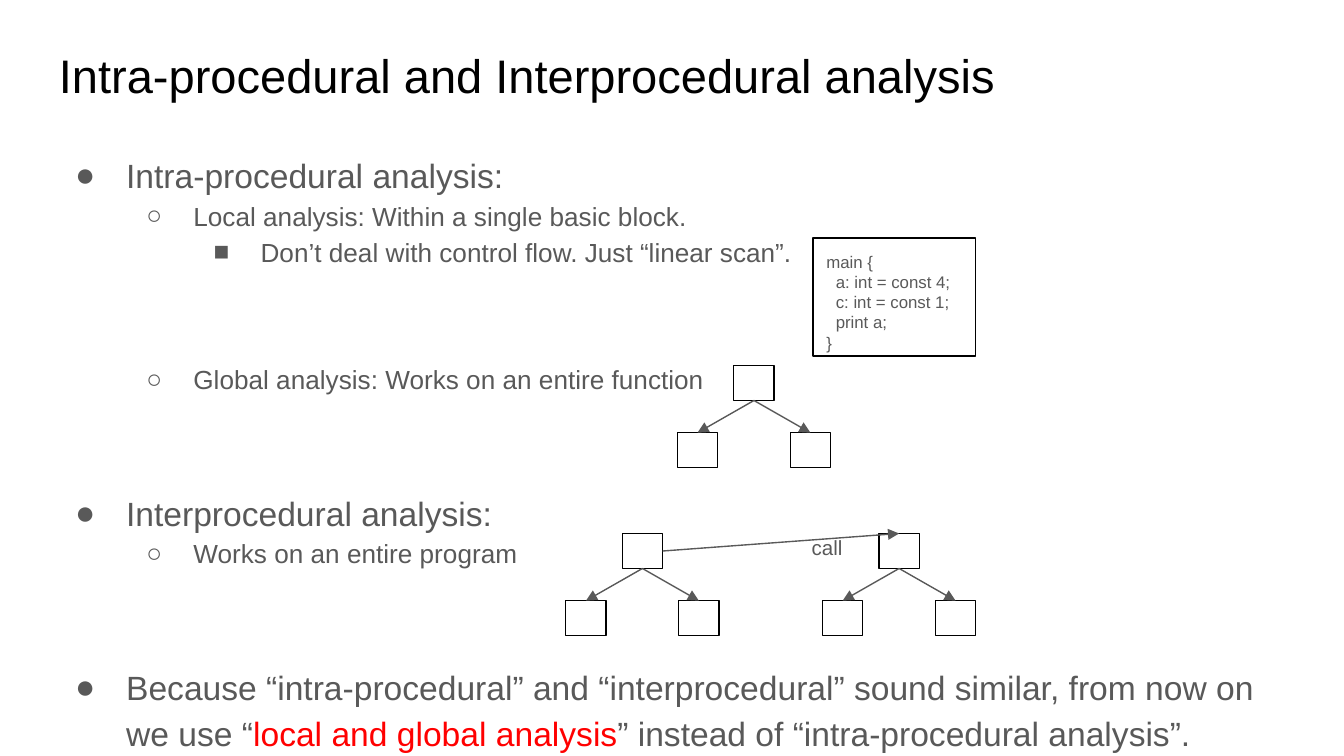
from lxml import etree
from pptx import Presentation
from pptx.dml.color import RGBColor
from pptx.enum.shapes import MSO_CONNECTOR, MSO_SHAPE
from pptx.enum.text import MSO_ANCHOR
from pptx.oxml.ns import qn
from pptx.util import Inches, Pt

RECT, STRAIGHT = MSO_SHAPE.RECTANGLE, MSO_CONNECTOR.STRAIGHT
TOP, MIDDLE = MSO_ANCHOR.TOP, MSO_ANCHOR.MIDDLE
COLORS = {"title": "000000", "text": "595959", "accent": "FF0000", "outline": "000000"}
FONT = "Arial"
NODE_W, NODE_H = 0.3, 0.26
BRANCH_DX, BRANCH_DY = 0.42, 0.5

# Bullet, text size and hanging indent of each outline level
LEVELS = [("●", 18, 0.38), ("○", 14, 0.35), ("■", 14, 0.35)]
GAP = 49  # points above a paragraph that starts a new group
OUTLINE = [
    (0, 0, [("Intra-procedural analysis:", "text")]),
    (1, 0, [("Local analysis: Within a single basic block.", "text")]),
    (2, 0, [("Don’t deal with control flow. Just “linear scan”.", "text")]),
    (1, GAP, [("Global analysis: Works on an entire function", "text")]),
    (0, GAP, [("Interprocedural analysis:", "text")]),
    (1, 0, [("Works on an entire program", "text")]),
    (0, GAP, [
        ("Because “intra-procedural” and “interprocedural” sound similar, "
         "from now on we use “", "text"),
        ("local and global analysis", "accent"),
        ("” instead of “intra-procedural analysis”.", "text"),
    ]),
]
CODE = [(0, "main {"), (0.07, "a: int = const 4;"), (0.07, "c: int = const 1;"),
        (0.07, "print a;"), (0, "}")]


def rgb(name):
    return RGBColor.from_string(COLORS[name])


def add_run(p, text, size, color):
    r = p.add_run()
    r.text = text
    r.font.name, r.font.size = FONT, Pt(size)
    r.font.color.rgb = rgb(color)


def set_frame(tf, anchor=TOP):
    tf.word_wrap = True
    tf.vertical_anchor = anchor
    tf.margin_left = tf.margin_right = tf.margin_top = tf.margin_bottom = Inches(0.1)
    return tf


def paragraphs(tf, items):
    """Yield each item with its own paragraph."""
    for i, item in enumerate(items):
        yield (tf.add_paragraph() if i else tf.paragraphs[0]), item


def add_label(s, x, y, w, h, text, size, color, anchor=TOP):
    tb = s.shapes.add_textbox(Inches(x), Inches(y), Inches(w), Inches(h))
    tf = set_frame(tb.text_frame, anchor)
    add_run(tf.paragraphs[0], text, size, color)


def set_bullet(p, level):
    char, _, hang = LEVELS[level]
    pPr = p._p.get_or_add_pPr()
    pPr.set("marL", str(Inches(0.5 * (level + 1))))
    pPr.set("indent", str(-Inches(hang)))
    clr = etree.SubElement(pPr, qn("a:buClr"))
    etree.SubElement(clr, qn("a:srgbClr"), val=COLORS["text"])
    etree.SubElement(pPr, qn("a:buFont"), typeface=FONT)
    etree.SubElement(pPr, qn("a:buChar"), char=char)


def add_outline(s, x, y, w, h):
    tb = s.shapes.add_textbox(Inches(x), Inches(y), Inches(w), Inches(h))
    tf = set_frame(tb.text_frame)
    for p, (level, before, runs) in paragraphs(tf, OUTLINE):
        p.level = level
        p.line_spacing, p.space_before = 1.15, Pt(before)
        set_bullet(p, level)
        for text, color in runs:
            add_run(p, text, LEVELS[level][1], color)


def add_box(s, x, y, w, h):
    sp = s.shapes.add_shape(RECT, Inches(x), Inches(y), Inches(w), Inches(h))
    sp.shadow.inherit = False
    sp.fill.background()
    sp.line.color.rgb = rgb("outline")
    sp.line.width = Pt(0.75)
    return sp


def add_code(s, x, y, w, h):
    tf = set_frame(add_box(s, x, y, w, h).text_frame)
    for p, (indent, text) in paragraphs(tf, CODE):
        pPr = p._p.get_or_add_pPr()
        pPr.set("marL", str(Inches(indent)))
        pPr.set("algn", "l")
        add_run(p, text, 9, "text")


def add_arrow(s, x1, y1, x2, y2):
    c = s.shapes.add_connector(STRAIGHT, Inches(x1), Inches(y1), Inches(x2), Inches(y2))
    c.line.color.rgb = rgb("text")
    c.line.width = Pt(0.75)
    etree.SubElement(c.line._get_or_add_ln(), qn("a:tailEnd"), type="triangle")
    etree.SubElement(c._element.spPr, qn("a:effectLst"))


def add_tree(s, x, y):
    """Draw a root node at (x, y) with an arrow to each of two children."""
    add_box(s, x, y, NODE_W, NODE_H)
    mid = x + NODE_W / 2
    for dx in (-BRANCH_DX, BRANCH_DX):
        add_box(s, x + dx, y + BRANCH_DY, NODE_W, NODE_H)
        add_arrow(s, mid, y + NODE_H, mid + dx, y + BRANCH_DY)


def add_call_graph(s, x, y, distance):
    """Draw two function trees and the call from one root to the other."""
    add_tree(s, x, y)
    add_tree(s, x + distance, y)
    add_arrow(s, x + NODE_W, y + NODE_H / 2, x + distance + NODE_W / 2, y)
    add_label(s, x + 1.31, y - 0.08, 0.61, 0.39, "call", 11, "text")


def main():
    prs = Presentation()
    prs.slide_width = Inches(10)
    prs.slide_height = prs.slide_width * 9 // 16
    s = prs.slides.add_slide(prs.slide_layouts[6])
    add_label(s, 0.34, 0.24, 9.32, 0.63,
              "Intra-procedural and Interprocedural analysis", 25.2, "title", MIDDLE)
    add_outline(s, 0.34, 1.01, 9.32, 3.74)
    add_code(s, 6.05, 1.77, 1.21, 0.88)
    add_tree(s, 5.46, 2.72)
    add_call_graph(s, 4.63, 3.97, 1.91)
    prs.save("out.pptx")


if __name__ == "__main__":
    main()
